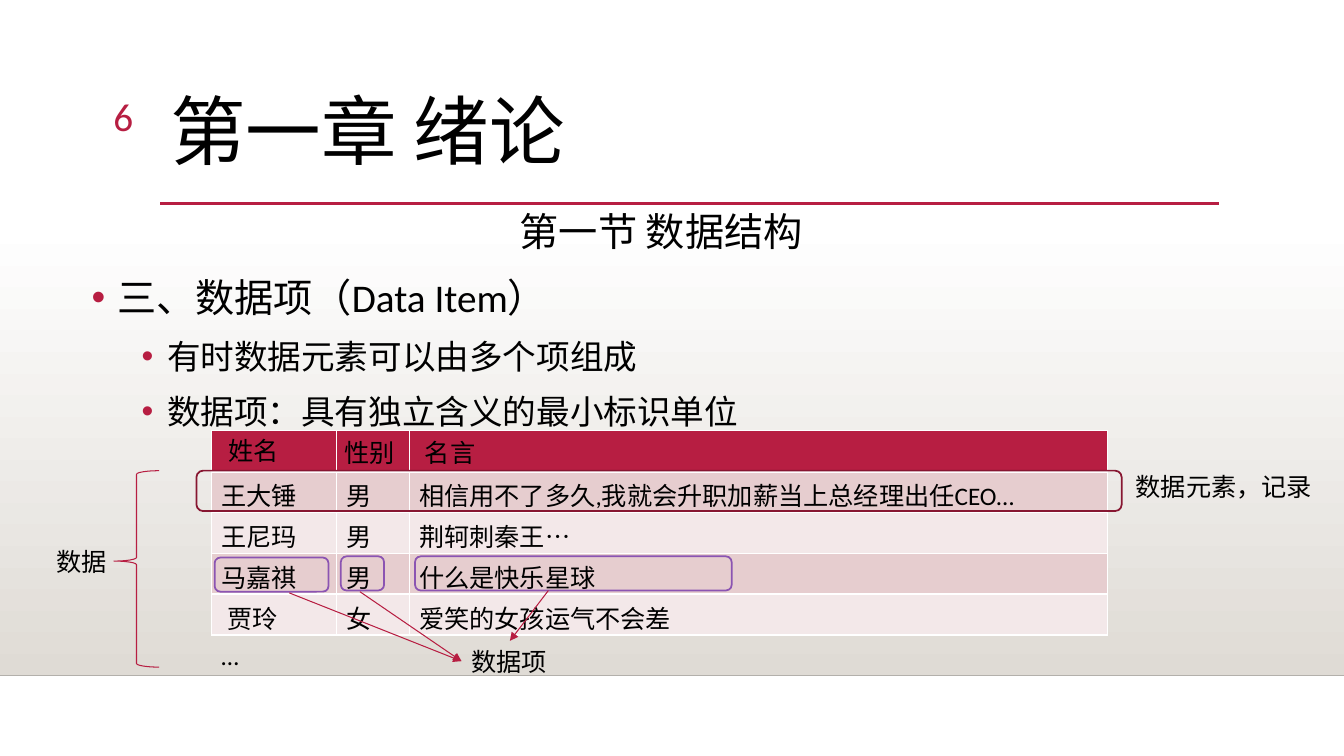
from lxml import etree
from pptx import Presentation
from pptx import util as u
from pptx.dml.color import RGBColor
from pptx.enum import shapes, text
from pptx.oxml.ns import qn

RED, BLACK, WHITE = "B71E42", "000000", "FFFFFF"
rgb = RGBColor.from_string


def add_text(left, top, width, height, lines, size, color=BLACK, wrap=True, grow=False):
    box = page.shapes.add_textbox(u.Cm(left), u.Cm(top), u.Cm(width), u.Cm(height))
    frame = box.text_frame
    frame.word_wrap = wrap
    frame.auto_size = text.MSO_AUTO_SIZE.SHAPE_TO_FIT_TEXT if grow else text.MSO_AUTO_SIZE.NONE
    frame.text = "\n".join(lines)
    for para in frame.paragraphs:
        for span in para.runs:
            span.font.name, span.font.size = "Calibri", u.Pt(size)
            span.font.color.rgb = rgb(color)
    return frame


def add_line(x1, y1, x2, y2, color, width, arrow=False):
    line = page.shapes.add_connector(
        shapes.MSO_CONNECTOR.STRAIGHT, u.Cm(x1), u.Cm(y1), u.Cm(x2), u.Cm(y2))
    line.line.color.rgb, line.line.width = rgb(color), u.Pt(width)
    if arrow:
        etree.SubElement(line.line._get_or_add_ln(), qn("a:tailEnd"), type="triangle")
    etree.SubElement(line._element.spPr, qn("a:effectLst"))


deck = Presentation()
deck.slide_width, deck.slide_height = u.Cm(33.87), u.Cm(19.05)
page = deck.slides.add_slide(deck.slide_layouts[6])

# Shaded backdrop and rules
backdrop = page.shapes.add_shape(
    shapes.MSO_SHAPE.RECTANGLE, 0, u.Cm(5.61), deck.slide_width, u.Cm(11.41))
backdrop.shadow.inherit = False
backdrop.line.fill.background()
backdrop.fill.gradient()
backdrop.fill.gradient_angle = 270
for stop, color in zip(backdrop.fill.gradient_stops, (WHITE, "DFDBD5")):
    stop.color.rgb = rgb(color)
add_line(0, 17.02, 33.87, 17.02, "B3B0AB", 1)
add_line(4.04, 5.13, 30.73, 5.13, RED, 2.5)

# Title, section and page number
title = add_text(4.04, 2.24, 26.67, 2.92, ["第一章 绪论"], 54)
title.paragraphs[0].line_spacing = 0.9
add_text(12.85, 5.11, 9.04, 1.45, ["第一节 数据结构"], 28, grow=True)
number = add_text(1.35, 2.21, 2.26, 1.4, ["6"], 28, RED)
number.paragraphs[0].alignment = text.PP_ALIGN.RIGHT

# Bulleted points
points = add_text(2.06, 6.53, 29.11, 5.74, [
    "三、数据项（Data Item）",
    "有时数据元素可以由多个项组成",
    "数据项：具有独立含义的最小标识单位"], 24)
for index, para in enumerate(points.paragraphs):
    props = para._p.get_or_add_pPr()
    props.set("marL", str(u.Cm(1.9 if index else 0.64)))
    props.set("indent", str(u.Cm(-0.64)))
    bullet_color = etree.SubElement(props, qn("a:buClr"))
    etree.SubElement(bullet_color, qn("a:srgbClr"), val=RED)
    etree.SubElement(props, qn("a:buFont"), typeface="Arial")
    etree.SubElement(props, qn("a:buChar"), char="•")
    formats = {"level": min(index, 1), "line_spacing": 1.2,
               "space_before": u.Pt(5 if index else 0)}
    for name, value in formats.items():
        setattr(para, name, value)
points.paragraphs[0].runs[0].font.size = u.Pt(28)

# Table of records
records = [
    ("", "", ""),
    ("王大锤", "男", "相信用不了多久,我就会升职加薪当上总经理出任CEO…"),
    ("王尼玛", "男", "荆轲刺秦王…"),
    ("马嘉祺", "男", "什么是快乐星球"),
    ("贾玲", "女", "爱笑的女孩运气不会差"),
]
row_fills = [RED, "E6CDCF", "F3E8E9", "E6CDCF", "F3E8E9"]
widths = (3.15, 1.83, 17.6)
table = page.shapes.add_table(
    len(records), len(widths), u.Cm(5.33), u.Cm(10.85), u.Cm(sum(widths)), u.Cm(5.15)).table
for column, width in zip(table.columns, widths):
    column.width = u.Cm(width)
for r, record in enumerate(records):
    table.rows[r].height = u.Cm(1.03)
    for c, words in enumerate(record):
        cell = table.cell(r, c)
        props = cell._tc.get_or_add_tcPr()
        for side in "LRTB":
            heavy = (r, side) in ((0, "B"), (1, "T"))
            border = etree.SubElement(
                props, qn("a:ln" + side), w=str(u.Pt(3 if heavy else 1)))
            paint = etree.SubElement(border, qn("a:solidFill"))
            etree.SubElement(paint, qn("a:srgbClr"), val=WHITE)
        cell.fill.solid()
        cell.fill.fore_color.rgb = rgb(row_fills[r])
        cell.text = words
        font = cell.text_frame.paragraphs[0].font
        font.size = u.Pt(18)
        for span in cell.text_frame.paragraphs[0].runs:
            span.font.name, span.font.size = "Calibri", u.Pt(18)
            span.font.color.rgb = rgb(BLACK)
table.cell(4, 0).margin_left = u.Cm(0.4)

# Header names and callout labels
for left, top, width, words in [
    (5.51, 10.85, 1.8, "姓名"),
    (8.43, 10.9, 1.8, "性别"),
    (10.46, 10.9, 1.8, "名言"),
    (5.33, 16, 1.14, "…"),
    (1.17, 13.64, 1.8, "数据"),
    (28.37, 11.76, 5, "数据元素，记录"),
    (11.63, 16.15, 2.44, "数据项"),
]:
    add_text(left, top, width, 1.02, [words], 18, wrap=False, grow=True)

# Brace around the data, frames around a record and its items
ROUNDED = shapes.MSO_SHAPE.ROUNDED_RECTANGLE
for kind, left, top, width, height, color, weight in [
    (shapes.MSO_SHAPE.RIGHT_BRACE, 2.87, 11.86, 1.14, 4.95, RED, 0.75),
    (ROUNDED, 4.95, 11.86, 23.32, 1.02, "871631", 1.25),
    (ROUNDED, 5.41, 14.05, 2.87, 0.86, "8B54B2", 1.25),
    (ROUNDED, 8.59, 14.02, 1.09, 0.86, "8B54B2", 1.25),
    (ROUNDED, 10.46, 14.02, 7.98, 0.86, "8B54B2", 1.25),
]:
    outline = page.shapes.add_shape(kind, u.Cm(left), u.Cm(top), u.Cm(width), u.Cm(height))
    outline.shadow.inherit = False
    outline.fill.background()
    outline.line.color.rgb, outline.line.width = rgb(color), u.Pt(weight)
    if kind != ROUNDED:
        outline.rotation = 180
        outline.adjustments[0], outline.adjustments[1] = 0.08, 0.54

# Arrows from the items to their label
for ends in [(7.29, 14.94, 11.63, 16.66), (9.07, 14.91, 11.63, 16.66),
             (13.82, 14.88, 12.85, 16.15)]:
    add_line(*ends, RED, 0.75, arrow=True)

deck.save("out.pptx")
